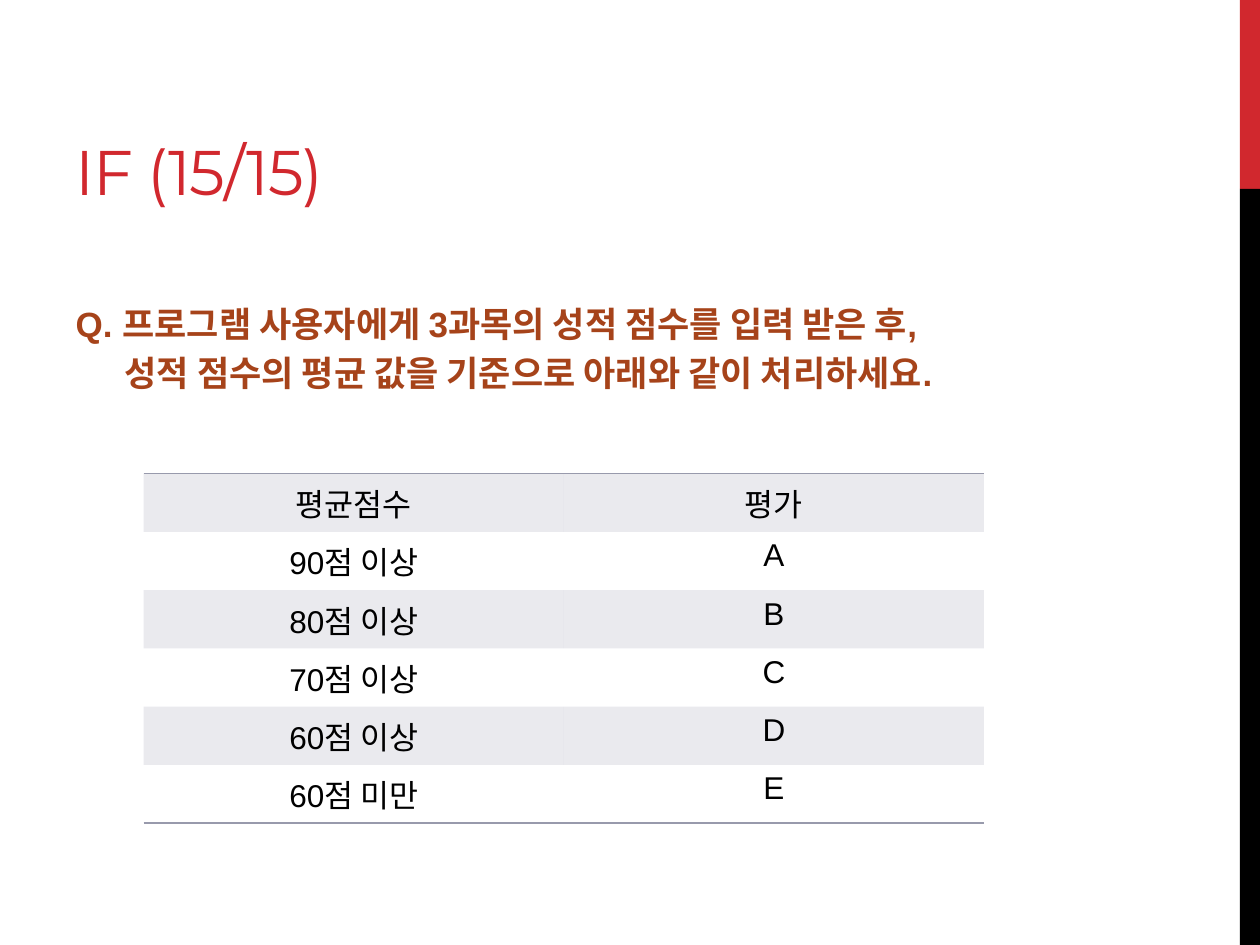
from lxml.etree import SubElement
from pptx import Presentation
from pptx.dml.color import RGBColor
from pptx.enum.shapes import MSO_SHAPE
from pptx.enum.text import MSO_ANCHOR, MSO_AUTO_SIZE, PP_ALIGN
from pptx.oxml import parse_xml
from pptx.oxml.ns import nsdecls, qn
from pptx.util import Inches, Pt

THEME = {
    "red": "D1282E", "black": "000000", "brown": "A6431A", "grey": "989AAC",
    "heading": "Montserrat", "text": "Arial",
    "title_size": 36, "body_size": 20, "table_size": 18,
}
NO_STYLE = "{2D5ABB26-0587-4C30-8999-92F81FD0307C}"


def format_runs(paragraph, font_name, size, color, bold=False):
    for run in paragraph.runs:
        run.font.name = THEME[font_name]
        run.font.size = Pt(THEME[size])
        run.font.bold = bold
        run.font.color.rgb = RGBColor.from_string(THEME[color])


def place(shape, left, top, width, height):
    shape.left, shape.top = Inches(left), Inches(top)
    shape.width, shape.height = Inches(width), Inches(height)


presentation = Presentation()
presentation.slide_width, presentation.slide_height = Inches(10), Inches(7.5)
slide = presentation.slides.add_slide(presentation.slide_layouts[1])
title, body = slide.placeholders

# Side bar: the top fifth red, the rest black
bar_left = 9.84
split = 7.5 / 5
for color, top, height in (("red", 0, split), ("black", split, 7.5 - split)):
    bar = slide.shapes.add_shape(MSO_SHAPE.RECTANGLE, 0, 0, 0, 0)
    place(bar, bar_left, top, 10 - bar_left, height)
    bar.shadow.inherit = False
    bar.fill.solid()
    bar.fill.fore_color.rgb = RGBColor.from_string(THEME[color])
    bar.line.fill.background()

# Title
place(title, 0.5, 0.17, 9.3, 1.5)
title.text_frame.text = "IF (15/15)"
title.text_frame.auto_size = MSO_AUTO_SIZE.NONE
title.text_frame.vertical_anchor = MSO_ANCHOR.BOTTOM
title.text_frame.margin_bottom = Inches(0.02)
heading = title.text_frame.paragraphs[0]
heading.alignment = PP_ALIGN.LEFT
format_runs(heading, "heading", "title_size", "red")
heading.runs[0].font._element.set("spc", "-60")

# Question, with its second line indented
place(body, 0.5, 2.35, 8.33, 4.35)
body.text_frame.text = (
    "Q. 프로그램 사용자에게 3과목의 성적 점수를 입력 받은 후,\n"
    "성적 점수의 평균 값을 기준으로 아래와 같이 처리하세요."
)
body.text_frame.auto_size = MSO_AUTO_SIZE.NONE
for paragraph, indent in zip(body.text_frame.paragraphs, (0, 0.39)):
    paragraph.space_before, paragraph.space_after = Pt(0), Pt(4)
    properties = paragraph._p.get_or_add_pPr()
    properties.set("marL", str(Inches(indent)))
    properties.set("indent", "0")
    SubElement(properties, qn("a:buNone"))
    format_runs(paragraph, "text", "body_size", "brown", bold=True)

# Grade table
grades = [
    ("평균점수", "평가"),
    ("90점 이상", "A"),
    ("80점 이상", "B"),
    ("70점 이상", "C"),
    ("60점 이상", "D"),
    ("60점 미만", "E"),
]
last_row = len(grades) - 1
table = slide.shapes.add_table(
    len(grades), 2, Inches(1.14), Inches(3.76), Inches(6.67), Inches(2.43)
).table
table.first_row = table.horz_banding = False
table._tbl.tblPr.find(qn("a:tableStyleId")).text = NO_STYLE

for row, values in enumerate(grades):
    for column, value in enumerate(values):
        cell = table.cell(row, column)
        cell.text_frame.text = value
        paragraph = cell.text_frame.paragraphs[0]
        paragraph.alignment = PP_ALIGN.CENTER
        format_runs(paragraph, "text", "table_size", "black")

        # Every other row is shaded
        if row % 2 == 0:
            cell.fill.solid()
            cell.fill.fore_color.rgb = RGBColor.from_string(THEME["grey"])
            shade = cell._tc.tcPr.find(".//" + qn("a:srgbClr"))
            SubElement(shade, qn("a:alpha")).set("val", "20000")
        else:
            cell.fill.background()

        # Rules above the first row and below the last
        edge = {0: "lnT", last_row: "lnB"}.get(row)
        if edge:
            rule = parse_xml(
                f'<a:{edge} {nsdecls("a")} w="{Pt(1)}"><a:solidFill>'
                f'<a:srgbClr val="{THEME["grey"]}"/></a:solidFill></a:{edge}>'
            )
            cell._tc.tcPr.insert(0, rule)

presentation.save("out.pptx")
